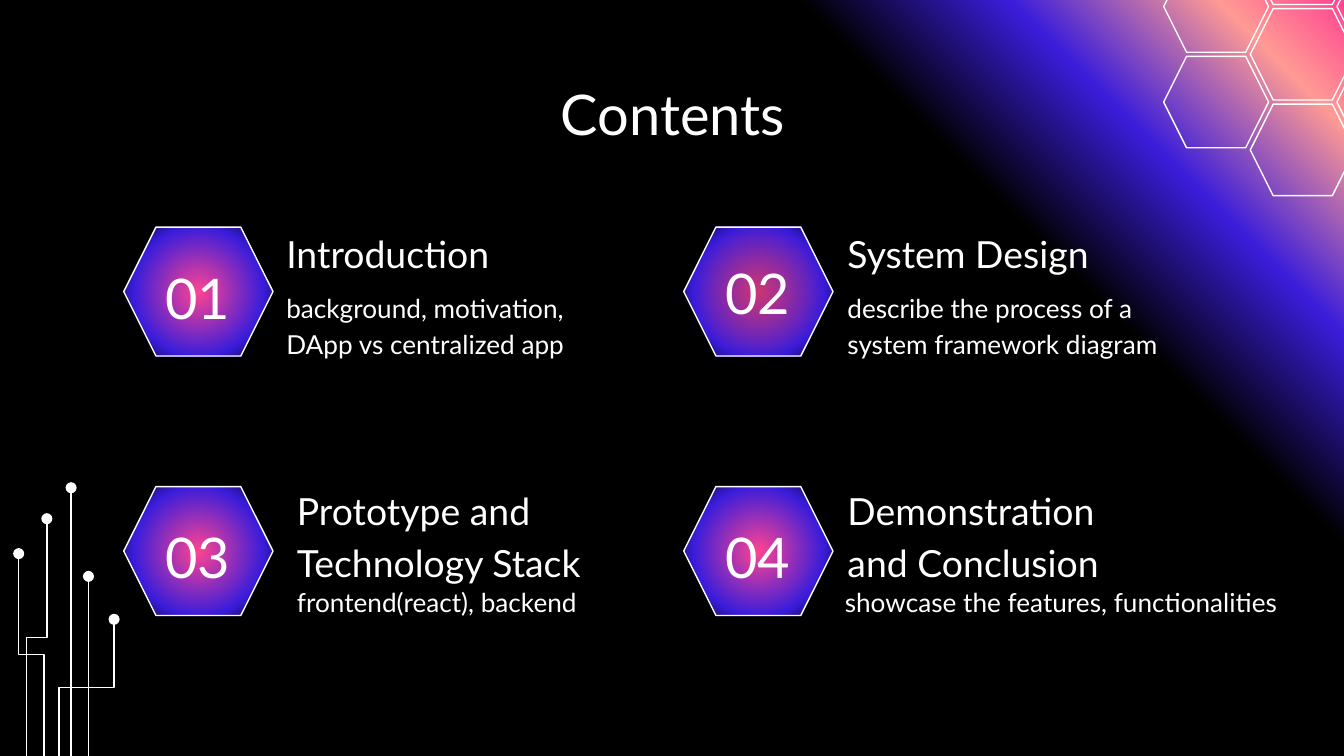
from collections import namedtuple
from dataclasses import dataclass

from lxml.etree import SubElement
from pptx import Presentation
from pptx.dml.color import RGBColor
from pptx.enum.shapes import MSO_CONNECTOR, MSO_SHAPE
from pptx.enum.text import MSO_ANCHOR, PP_ALIGN
from pptx.oxml.ns import qn
from pptx.util import Pt


@dataclass(frozen=True)
class Theme:
    white: str = "FFFFFF"
    black: str = "000000"
    blue: str = "3A1DDB"
    peach: str = "FF9A94"
    pink: str = "FF4491"
    font: str = "Lato"
    title_size: float = 30
    heading_size: float = 20
    body_size: float = 14
    line_width: float = 0.75
    inset: float = 7.2


THEME = Theme()
Box = namedtuple("Box", "left top width height")
Topic = namedtuple(
    "Topic", "number heading heading_box body body_box spacing core_alpha")

TOPICS = [
    Topic("01", "Introduction", Box(80, -6.5, 183.6, 39.6),
          "background, motivation, DApp vs centralized app",
          Box(80, 25.2, 183.6, 47.5), 1.15, 100),
    Topic("02", "System Design", Box(80.6, -6.5, 183.6, 39.6),
          "describe the process of a system framework diagram",
          Box(80.6, 25.2, 198.7, 47.5), 1.0, 80),
    Topic("03", "Prototype and Technology Stack", Box(85.7, -7.2, 232.6, 67),
          "frontend(react), backend",
          Box(85.7, 43.9, 177, 33), 1.15, 100),
    Topic("04", "Demonstration and Conclusion", Box(80.6, 4.3, 183.6, 55.4),
          "showcase the features, functionalities",
          Box(79.2, 43.9, 260.6, 41.8), 1.15, 100),
]


def inside(outer, inner):
    return Box(outer.left + inner.left, outer.top + inner.top,
               inner.width, inner.height)


def in_points(box):
    return [Pt(length) for length in box]


def set_stops(gradient, stops):
    for child in list(gradient):
        gradient.remove(child)
    stop_list = SubElement(gradient, qn("a:gsLst"))
    for position, color, alpha in stops:
        stop = SubElement(stop_list, qn("a:gs"), pos=str(position * 1000))
        tint = SubElement(stop, qn("a:srgbClr"), val=color)
        if alpha < 100:
            SubElement(tint, qn("a:alpha"), val=str(alpha * 1000))


def paint_background(page):
    page.background.fill.gradient()
    gradient = page._element.find(".//" + qn("a:gradFill"))
    set_stops(gradient, [(0, THEME.black, 100), (74, THEME.black, 100),
                         (84, THEME.blue, 100), (94, THEME.peach, 100),
                         (100, THEME.pink, 100)])
    SubElement(gradient, qn("a:lin"), ang=str(315 * 60000), scaled="0")


def outline(line):
    line.color.rgb = RGBColor.from_string(THEME.white)
    line.width = Pt(THEME.line_width)


def add_hexagon(page, box):
    hexagon = page.shapes.add_shape(MSO_SHAPE.HEXAGON, *in_points(box))
    hexagon.shadow.inherit = False
    hexagon.fill.background()
    outline(hexagon.line)
    return hexagon


def write(shape, text, size, align=PP_ALIGN.LEFT, anchor=MSO_ANCHOR.TOP, spacing=1.15):
    frame = shape.text_frame
    frame.word_wrap = True
    frame.vertical_anchor = anchor
    frame.margin_left = frame.margin_right = Pt(THEME.inset)
    frame.margin_top = frame.margin_bottom = Pt(THEME.inset)
    para = frame.paragraphs[0]
    para.text = text
    para.alignment = align
    para.line_spacing = spacing
    para.font.name = THEME.font
    para.font.size = Pt(size)
    para.font.color.rgb = RGBColor.from_string(THEME.white)


def add_text(page, box, text, size, **style):
    write(page.shapes.add_textbox(*in_points(box)), text, size, **style)


def add_title(page, box):
    title = page.shapes.title
    title.left, title.top, title.width, title.height = in_points(box)
    write(title, "Contents", THEME.title_size, align=PP_ALIGN.CENTER, spacing=1.0)


def add_trace(page, start_x, start_y, end_x, end_y):
    if start_x == end_x:
        trace = page.shapes.add_connector(
            MSO_CONNECTOR.STRAIGHT, Pt(start_x), Pt(start_y), Pt(end_x), Pt(end_y))
    else:
        center_x, center_y = (start_x + end_x) / 2, (start_y + end_y) / 2
        half_length, half_spread = (start_y - end_y) / 2, abs(end_x - start_x) / 2
        direction = 1 if end_x > start_x else -1
        trace = page.shapes.add_connector(
            MSO_CONNECTOR.ELBOW,
            Pt(center_x - direction * half_length), Pt(center_y - half_spread),
            Pt(center_x + direction * half_length), Pt(center_y + half_spread))
        angle = 270 if direction > 0 else 90
        trace._element.spPr.find(qn("a:xfrm")).set("rot", str(angle * 60000))
    outline(trace.line)
    properties = trace._element.spPr
    SubElement(properties.find(qn("a:ln")), qn("a:tailEnd"), type="oval")
    SubElement(properties, qn("a:effectLst"))


def add_circuit(page, box):
    bottom = box.top + box.height
    traces = [(13.7, 0, 35.3), (4.3, 15.1, 16.6), (37.4, 37.4, 47.5),
              (28.1, 28.1, 0), (21.6, 51.1, 70.5)]
    for start, end, top in traces:
        add_trace(page, box.left + start, bottom, box.left + end, box.top + top)


def add_honeycomb(page, box):
    width, height = 56.2, 49
    column_pitch, row_pitch = 46.4, 51.2
    for column, rows in enumerate([2, 3, 2]):
        rise = row_pitch / 2 if rows == 3 else 0
        for row in range(rows):
            add_hexagon(page, Box(box.left + column * column_pitch,
                                  box.top + row * row_pitch - rise, width, height))


def add_topic(page, box, topic):
    badge = add_hexagon(page, box)
    badge.fill.gradient()
    gradient = badge._element.spPr.find(qn("a:gradFill"))
    set_stops(gradient, [(0, THEME.pink, topic.core_alpha),
                         (66, THEME.blue, 100), (100, THEME.black, 100)])
    shade = SubElement(gradient, qn("a:path"), path="circle")
    SubElement(shade, qn("a:fillToRect"), l="50000", t="50000", r="50000", b="50000")

    add_text(page, inside(box, Box(6.3, 9.4, 67, 50.4)), topic.number, THEME.title_size,
             align=PP_ALIGN.CENTER, anchor=MSO_ANCHOR.MIDDLE, spacing=topic.spacing)
    add_text(page, inside(box, topic.heading_box), topic.heading, THEME.heading_size,
             anchor=MSO_ANCHOR.BOTTOM)
    add_text(page, inside(box, topic.body_box), topic.body, THEME.body_size)


def add_topics(page, box):
    column_pitch, row_pitch = 300, 139
    for index, topic in enumerate(TOPICS):
        row, column = divmod(index, 2)
        badge = Box(column * column_pitch, row * row_pitch, 80, 69.1)
        add_topic(page, inside(box, badge), topic)


def main():
    deck = Presentation()
    deck.slide_width, deck.slide_height = Pt(720), Pt(405)
    page = deck.slides.add_slide(deck.slide_layouts.get_by_name("Title Only"))
    paint_background(page)
    add_circuit(page, Box(10, 261.3, 51.1, 143.7))
    add_honeycomb(page, Box(623.4, -21, 149, 153))
    add_title(page, Box(57, 35.3, 607, 45.4))
    add_topics(page, Box(66.3, 121.7, 380, 208))
    deck.save("out.pptx")


if __name__ == "__main__":
    main()
